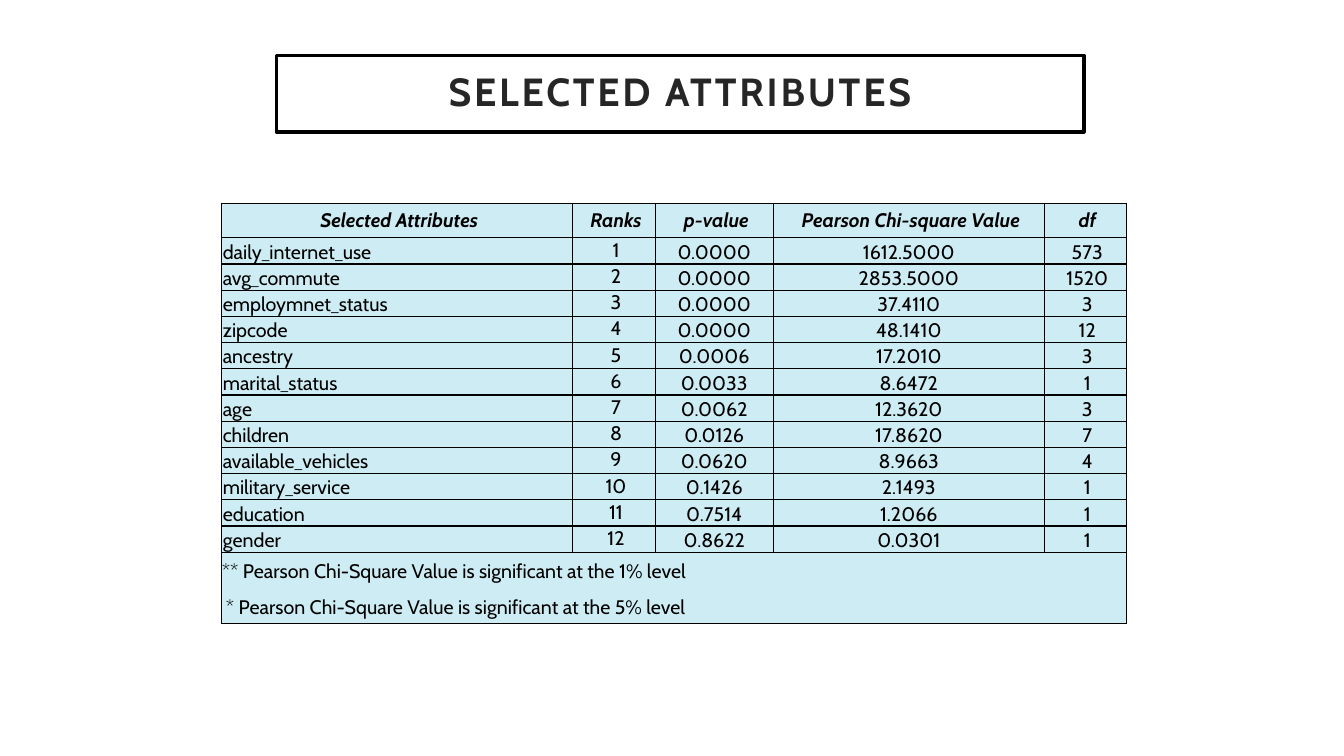
"""Build the slide that ranks the selected attributes by chi-square test."""
from lxml import etree
from pptx import Presentation, util as u
from pptx.dml.color import RGBColor
from pptx.enum import shapes, text
from pptx.oxml import ns

ROWS = [
    ("Selected Attributes", "Ranks", "p-value", "Pearson Chi-square Value", "df"),
    ("daily_internet_use", "1", "0.0000", "1612.5000", "573"),
    ("avg_commute", "2", "0.0000", "2853.5000", "1520"),
    ("employmnet_status", "3", "0.0000", "37.4110", "3"),
    ("zipcode", "4", "0.0000", "48.1410", "12"),
    ("ancestry", "5", "0.0006", "17.2010", "3"),
    ("marital_status", "6", "0.0033", "8.6472", "1"),
    ("age", "7", "0.0062", "12.3620", "3"),
    ("children", "8", "0.0126", "17.8620", "7"),
    ("available_vehicles", "9", "0.0620", "8.9663", "4"),
    ("military_service", "10", "0.1426", "2.1493", "1"),
    ("education", "11", "0.7514", "1.2066", "1"),
    ("gender", "12", "0.8622", "0.0301", "1"),
]
NOTES = [
    "** Pearson Chi-Square Value is significant at the 1% level",
    "* Pearson Chi-Square Value is significant at the 5% level",
]
WIDTHS = [3.48, 0.82, 1.17, 2.69, 0.81]
HEIGHTS = [0.34] + [0.26] * 12 + [0.71]
ALIGN, ANCHOR = text.PP_ALIGN, text.MSO_ANCHOR


def style(para, size, color, bold=False, italic=False):
    """Set the font of a paragraph."""
    font = para.font
    font.name, font.size = "Cabin", u.Pt(size)
    font.bold, font.italic = bold, italic
    font.color.rgb = RGBColor.from_string(color)


def dress(cell, pad, anchor):
    """Set borders, fill, margins and anchor of a table cell."""
    props = cell._tc.get_or_add_tcPr()
    for side in ("lnL", "lnR", "lnT", "lnB"):
        line = etree.SubElement(props, ns.qn("a:" + side), w=str(u.Pt(1)))
        paint = etree.SubElement(line, ns.qn("a:solidFill"))
        etree.SubElement(paint, ns.qn("a:srgbClr"), val="000000")
    cell.fill.solid()
    cell.fill.fore_color.rgb = RGBColor.from_string("CDECF3")
    cell.margin_left = cell.margin_right = cell.margin_top = u.Inches(pad)
    cell.margin_bottom = 0
    cell.vertical_anchor = anchor


deck = Presentation()
deck.slide_width, deck.slide_height = u.Inches(13.33), u.Inches(7.5)
slide = deck.slides.add_slide(deck.slide_layouts[6])

title = slide.shapes.add_shape(
    shapes.MSO_SHAPE.RECTANGLE,
    u.Inches(2.74), u.Inches(0.55), u.Inches(8.01), u.Inches(0.76))
title.shadow.inherit = False
title.fill.background()
title.line.color.rgb = RGBColor.from_string("000000")
title.line.width = u.Pt(2.5)
frame = title.text_frame
frame.word_wrap = True
frame.vertical_anchor = ANCHOR.MIDDLE
frame.margin_left = frame.margin_right = u.Inches(0.2)
frame.margin_top = frame.margin_bottom = u.Inches(0.2)
para = frame.paragraphs[0]
para.alignment, para.line_spacing = ALIGN.CENTER, 0.9
style(para, 28, "262626", bold=True)
run = para.add_run()
run.text = "SELECTED ATTRIBUTES"
run._r.get_or_add_rPr().set("spc", "200")

table = slide.shapes.add_table(
    len(HEIGHTS), len(WIDTHS), u.Inches(2.2), u.Inches(2.02),
    u.Inches(sum(WIDTHS)), u.Inches(sum(HEIGHTS))).table
table.first_row = table.horz_banding = False
for col, width in zip(table.columns, WIDTHS):
    col.width = u.Inches(width)
for row, height in zip(table.rows, HEIGHTS):
    row.height = u.Inches(height)

for r, words in enumerate(ROWS):
    for c, word in enumerate(words):
        cell = table.cell(r, c)
        head = r == 0
        tight = head or c == 1
        dress(cell, 0 if tight else 0.01, ANCHOR.MIDDLE if tight else ANCHOR.BOTTOM)
        para = cell.text_frame.paragraphs[0]
        style(para, 14, "000000", bold=head, italic=head)
        para.alignment = ALIGN.CENTER if head or c else ALIGN.LEFT
        if tight or c == 4:
            para.line_spacing = u.Pt(16)
            para._p.get_or_add_pPr().set("marL", str(u.Inches(0.04)))
        for n, part in enumerate(word.split("_")):
            if n:
                dash = para.add_run()
                dash.text = "_"
                dash.font.name, dash.font.size = "Calibri", u.Pt(11)
            para.add_run().text = part

last = len(ROWS)
for c in range(len(WIDTHS)):
    dress(table.cell(last, c), 0, ANCHOR.MIDDLE)
foot = table.cell(last, 0)
foot.merge(table.cell(last, len(WIDTHS) - 1))
foot.text_frame.text = "\n".join(NOTES)
first, second = foot.text_frame.paragraphs
for para in (first, second):
    style(para, 14, "000000")
first.line_spacing, first.space_after = 1.15, u.Pt(10)
second.line_spacing = u.Pt(16)
second._p.get_or_add_pPr().set("marL", str(u.Inches(0.04)))

deck.save("out.pptx")
